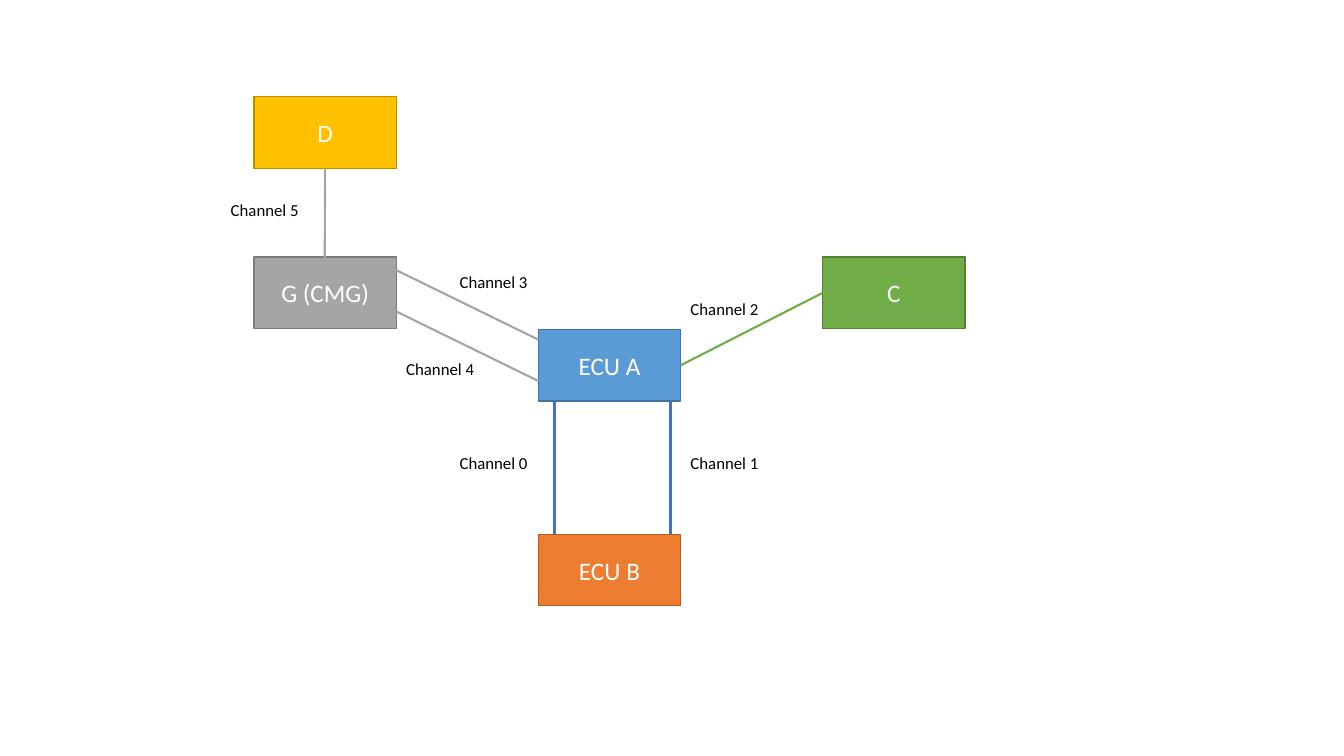
"""Draw a network of control units joined by numbered channels."""
from dataclasses import dataclass
from typing import Optional

from lxml.etree import SubElement
from pptx import Presentation
from pptx.dml.color import RGBColor
from pptx.enum.shapes import MSO_CONNECTOR as Connector, MSO_SHAPE as Preset
from pptx.enum.text import MSO_ANCHOR as Anchor, MSO_AUTO_SIZE as AutoSize, PP_ALIGN as Align
from pptx.oxml.ns import qn
from pptx.shapes.autoshape import Shape
from pptx.slide import Slide
from pptx.text.text import TextFrame
from pptx.util import Inches, Pt


@dataclass(frozen=True)
class Theme:
    font: str = "Calibri"
    unit_size: float = 18
    label_size: float = 12
    outline_width: float = 1
    channel_width: float = 1.5
    white: str = "FFFFFF"
    black: str = "000000"
    blue: str = "5B9BD5"
    blue_edge: str = "43739E"
    grey: str = "A5A5A5"
    grey_edge: str = "7A7A7A"
    green: str = "70AD47"
    green_edge: str = "538035"
    orange: str = "ED7D31"
    orange_edge: str = "AF5C24"
    gold: str = "FFC000"
    gold_edge: str = "BD8E00"
    royal: str = "4472C4"


@dataclass(frozen=True)
class Unit:
    name: str
    column: int
    top: float
    fill: str
    edge: str


@dataclass(frozen=True)
class Joint:
    unit: str
    side: int


@dataclass(frozen=True)
class Channel:
    number: int
    start: tuple[float, float]
    end: tuple[float, float]
    color: str
    label: tuple[float, float]
    start_joint: Optional[Joint] = None
    end_joint: Optional[Joint] = None


THEME = Theme()
UNIT_WIDTH, UNIT_HEIGHT = 1.41, 0.71
FIRST_COLUMN, COLUMN_PITCH = 2.52, 2.82
LABEL_WIDTH, LABEL_HEIGHT = 0.88, 0.3
BOTTOM, LEFT, RIGHT = 2, 1, 3

UNITS = [
    Unit("ECU A", 1, 3.27, THEME.blue, THEME.blue_edge),
    Unit("G (CMG)", 0, 2.55, THEME.grey, THEME.grey_edge),
    Unit("C", 2, 2.55, THEME.green, THEME.green_edge),
    Unit("ECU B", 1, 5.3, THEME.orange, THEME.orange_edge),
    Unit("D", 0, 0.96, THEME.gold, THEME.gold_edge),
]
CHANNELS = [
    Channel(5, (3.22, 1.69), (3.22, 2.72), THEME.grey, (2.19, 1.93), Joint("D", BOTTOM)),
    Channel(3, (5.34, 3.37), (3.93, 2.68), THEME.grey, (4.46, 2.65)),
    Channel(0, (5.5, 3.98), (5.5, 5.3), THEME.royal, (4.46, 4.44)),
    Channel(1, (6.65, 3.98), (6.65, 5.3), THEME.royal, (6.75, 4.44)),
    Channel(2, (8.16, 2.91), (6.75, 3.62), THEME.green, (6.75, 2.91),
            Joint("C", LEFT), Joint("ECU A", RIGHT)),
    Channel(4, (5.34, 3.78), (3.93, 3.09), THEME.grey, (3.93, 3.51)),
]


def write_text(frame: TextFrame, text: str, size: float, color: str, align: Align) -> None:
    """Write one formatted paragraph."""
    paragraph = frame.paragraphs[0]
    paragraph.alignment = align
    run = paragraph.add_run()
    run.text = text
    for name, value in {"name": THEME.font, "size": Pt(size)}.items():
        setattr(run.font, name, value)
    run.font.color.rgb = RGBColor.from_string(color)


def draw_unit(slide: Slide, unit: Unit) -> Shape:
    """Draw one control unit as a rectangle."""
    left = FIRST_COLUMN + unit.column * COLUMN_PITCH
    shape = slide.shapes.add_shape(Preset.RECTANGLE, Inches(left), Inches(unit.top),
                                   Inches(UNIT_WIDTH), Inches(UNIT_HEIGHT))
    shape.shadow.inherit = False
    shape.fill.solid()
    shape.fill.fore_color.rgb = RGBColor.from_string(unit.fill)
    shape.line.color.rgb = RGBColor.from_string(unit.edge)
    shape.line.width = Pt(THEME.outline_width)
    shape.text_frame.vertical_anchor = Anchor.MIDDLE
    write_text(shape.text_frame, unit.name, THEME.unit_size, THEME.white, Align.CENTER)
    return shape


def draw_line(slide: Slide, channel: Channel, units: dict[str, Shape]) -> None:
    """Draw the line of a channel and join it to its units."""
    line = slide.shapes.add_connector(Connector.STRAIGHT,
                                      *map(Inches, channel.start + channel.end))
    line.line.color.rgb = RGBColor.from_string(channel.color)
    line.line.width = Pt(THEME.channel_width)
    SubElement(line._element.spPr, qn("a:effectLst"))
    if channel.start_joint:
        line.begin_connect(units[channel.start_joint.unit], channel.start_joint.side)
    if channel.end_joint:
        line.end_connect(units[channel.end_joint.unit], channel.end_joint.side)


def draw_label(slide: Slide, channel: Channel) -> None:
    """Write the name of a channel beside its line."""
    box = slide.shapes.add_textbox(*map(Inches, channel.label),
                                   Inches(LABEL_WIDTH), Inches(LABEL_HEIGHT))
    frame = box.text_frame
    for name, value in {"word_wrap": False, "auto_size": AutoSize.SHAPE_TO_FIT_TEXT}.items():
        setattr(frame, name, value)
    write_text(frame, f"Channel {channel.number}", THEME.label_size, THEME.black, Align.LEFT)


def main() -> None:
    """Build and save the presentation."""
    presentation = Presentation()
    presentation.slide_width, presentation.slide_height = Inches(13.33), Inches(7.5)
    slide = presentation.slides.add_slide(presentation.slide_layouts.get_by_name("Blank"))
    units = {unit.name: draw_unit(slide, unit) for unit in UNITS}
    for channel in CHANNELS:
        draw_line(slide, channel, units)
        draw_label(slide, channel)
    presentation.save("out.pptx")


if __name__ == "__main__":
    main()
